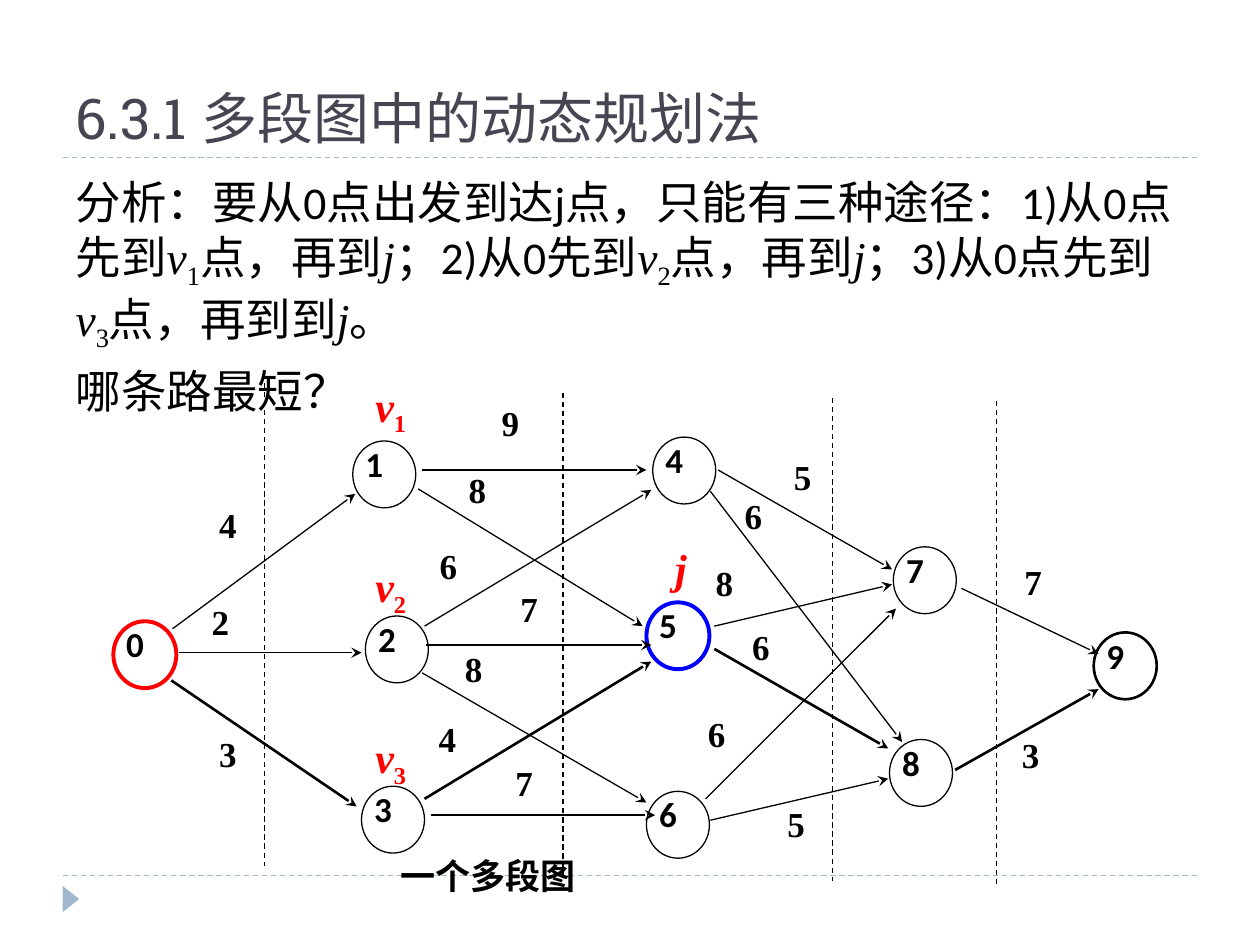
from pptx import Presentation
from pptx.dml.color import RGBColor
from pptx.enum.dml import MSO_LINE
from pptx.enum.shapes import MSO_CONNECTOR, MSO_SHAPE
from pptx.enum.text import MSO_ANCHOR, MSO_AUTO_SIZE, PP_ALIGN
from pptx.oxml.ns import qn
from pptx.util import Pt
from lxml import etree

BLACK = RGBColor(0x00, 0x00, 0x00)
RED = RGBColor(0xFF, 0x00, 0x00)
BLUE = RGBColor(0x00, 0x00, 0xFF)
SLATE = RGBColor(0x46, 0x46, 0x53)
STEEL = RGBColor(0x9F, 0xB8, 0xCD)
SANS, SERIF, SLAB = "Calibri", "Times New Roman", "Roboto Slab"
DASH = MSO_LINE.DASH
LINE = MSO_CONNECTOR.STRAIGHT
LEFT, JUST = PP_ALIGN.LEFT, PP_ALIGN.JUSTIFY
TOP, BOTTOM = MSO_ANCHOR.TOP, MSO_ANCHOR.BOTTOM
FIXED = MSO_AUTO_SIZE.NONE

prs = Presentation()
prs.slide_width, prs.slide_height = Pt(720), Pt(540)
slide = prs.slides.add_slide(prs.slide_layouts[1])
shapes = slide.shapes


def write(par, text, size, color, font, bold=False):
    """Fill a paragraph; parts between bars that are v, j or 1-3 are math."""
    for part in text.split("|"):
        run = par.add_run()
        run.text = part
        math = "|" in text and part in ("v", "j", "1", "2", "3")
        form = {"size": Pt(size), "bold": bold, "italic": math and part in "vj",
                "name": SERIF if math else font}
        for key, val in form.items():
            setattr(run.font, key, val)
        run.font.color.rgb = color
        if math and part in "123":
            run._r.get_or_add_rPr().set("baseline", "-25000")


def draw(x1, y1, x2, y2, width=0.75, color=BLACK, dash=None, arrow=False):
    """Draw a straight line, dashed or with an arrowhead if asked."""
    line = shapes.add_connector(LINE, Pt(x1), Pt(y1), Pt(x2), Pt(y2))
    line.line.width = Pt(width)
    line.line.color.rgb = color
    line.line.dash_style = dash
    if arrow:
        etree.SubElement(line.line._get_or_add_ln(), qn("a:tailEnd"), type="stealth")
    etree.SubElement(line._element.spPr, qn("a:effectLst"))


# Rules and corner mark
for y in (500.4, 90):
    draw(36, y, 684, y, color=STEEL, dash=DASH)
mark = shapes.add_shape(MSO_SHAPE.ISOSCELES_TRIANGLE, Pt(33), Pt(509), Pt(15), Pt(9.5))
mark.rotation = 90
mark.shadow.inherit = False
mark.fill.solid()
mark.fill.fore_color.rgb = STEEL
mark.line.fill.background()

# Title and body
title, body = shapes.title, slide.placeholders[1]
for box, top, high, anchor in ((title, 12.2, 77.8, BOTTOM), (body, 95.8, 388.8, TOP)):
    box.left, box.top, box.width, box.height = Pt(36), Pt(top), Pt(648), Pt(high)
    box.text_frame.vertical_anchor = anchor
    box.text_frame.auto_size = FIXED
    box.text_frame.word_wrap = True
par = title.text_frame.paragraphs[0]
par.alignment = LEFT
write(par, "6.3.1 多段图中的动态规划法", 32, SLATE, SLAB)

frame = body.text_frame
frame.add_paragraph()
texts = ("分析：要从0点出发到达j点，只能有三种途径：1)从0点先到|v|1|点，再到|j|"
         "；2)从0先到|v|2|点，再到|j|；3)从0点先到|v|3|点，再到到|j|。",
         "哪条路最短？")
for par, text in zip(frame.paragraphs, texts):
    par.space_before = Pt(6)
    props = par._p.get_or_add_pPr()
    props.set("marL", "0")
    props.set("indent", "0")
    etree.SubElement(props, qn("a:buNone"))
    write(par, text, 26, BLACK, SANS)

# Nodes 0 to 9, in order
nodes = [(64.8, 355), (201.6, 252), (208.8, 352), (206.6, 449.3), (373, 249.8),
         (369.4, 344.2), (369.4, 452.2), (510.5, 312.5), (508.3, 422.6), (625, 361.4)]
rims = {0: (RED, 2.25), 5: (BLUE, 2.25), 9: (BLACK, 1.5)}
for num, (x, y) in enumerate(nodes):
    node = shapes.add_shape(MSO_SHAPE.OVAL, Pt(x), Pt(y), Pt(36), Pt(38.2))
    node.shadow.inherit = False
    node.fill.background()
    color, width = rims.get(num, (BLACK, 0.75))
    node.line.color.rgb = color
    node.line.width = Pt(width)
    frame = node.text_frame
    frame.margin_left = Pt(2)
    frame.margin_top = frame.margin_right = frame.margin_bottom = 0
    frame.vertical_anchor = TOP
    par = frame.paragraphs[0]
    par.alignment, par.line_spacing = JUST, 0.8
    write(par, str(num), 20, BLACK, SANS, True)

# Edges: from, to, line width, then weight and its place
edges = [
    (98.6, 359.3, 203, 282.2, 0.75, "4", 125.3, 292.3),
    (102.2, 373, 206.6, 373, 0.75, "2", 121, 347.8),
    (97.9, 388.8, 203.8, 460.8, 1.5, "3", 125.3, 423.4),
    (241.2, 268.6, 369.4, 268.6, 0.75, "9", 286.6, 234),
    (239, 279.4, 367.2, 357.8, 0.75, "8", 267.8, 272.2),
    (242.6, 357.8, 372.2, 280, 0.75, "6", 251.3, 316),
    (243.4, 368.6, 372.2, 368.6, 0.75, "7", 297.4, 340.6),
    (241.2, 384.5, 369.4, 458.6, 0.75, "8", 265.7, 374.4),
    (242.6, 456.5, 372.2, 378, 1.5, "4", 250.6, 414.7),
    (246.2, 465.8, 374.4, 465.8, 0.75, "7", 294.5, 440),
    (410.4, 268.6, 509.8, 325.4, 0.75, "5", 453.6, 265),
    (406, 280.8, 515.5, 424, 0.75, "6", 425.5, 287.3),
    (408.2, 357.8, 509.8, 334, 0.75, "8", 409, 325.4),
    (408.2, 370.8, 507.6, 427.7, 1.5, "6", 429.8, 362.2),
    (403.2, 456.5, 512, 347.8, 0.75, "6", 404.6, 411.8),
    (406, 468.7, 507.6, 445, 0.75, "5", 450, 463),
    (549.4, 336.2, 627.8, 373.7, 0.75, "7", 585.4, 324.7),
    (545.8, 440, 627.8, 393.8, 1.5, "3", 584, 424),
]
for *ends, width, _, _, _ in edges:
    draw(*ends, width, arrow=True)

# Stage borders
for x, y in ((151.2, 218.9), (321.8, 224.6), (475.9, 227.5), (569.5, 229)):
    draw(x, y, x, y + 276.2, dash=DASH)

# Weights and caption
notes = [(text, x, y, 20, 25.2) for *_, text, x, y in edges]
notes.append(("一个多段图", 229, 493.2, 275, 29.5))
for text, x, y, wide, high in notes:
    frame = shapes.add_textbox(Pt(x), Pt(y), Pt(wide), Pt(high)).text_frame
    frame.word_wrap = True
    for side in ("left", "top", "right", "bottom"):
        setattr(frame, "margin_" + side, 0)
    par = frame.paragraphs[0]
    par.alignment, par.line_spacing = JUST, 0.8
    write(par, text, 20, BLACK, SERIF, True)

# Red vertex names
names = [("j|", 378.7, 306.7, 21.6), ("v|1", 207.4, 213.8, 33),
         ("v|2", 207.4, 316.8, 33), ("v|3", 207.4, 414.7, 33)]
for text, x, y, wide in names:
    frame = shapes.add_textbox(Pt(x), Pt(y), Pt(wide), Pt(36.5)).text_frame
    frame.word_wrap = False
    write(frame.paragraphs[0], text, 24, RED, SERIF, True)

prs.save("out.pptx")
